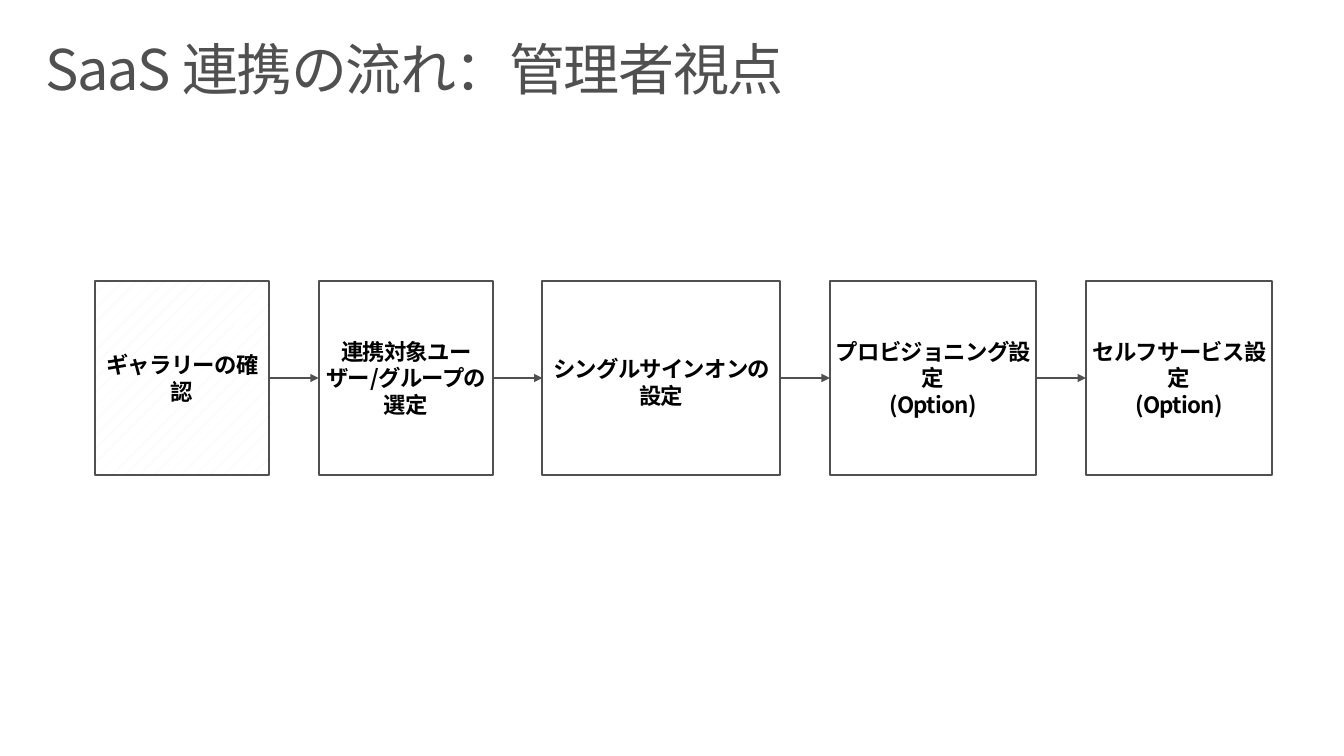
from lxml import etree
from pptx import Presentation
from pptx.dml.color import RGBColor
from pptx.enum.dml import MSO_PATTERN
from pptx.enum.shapes import MSO_CONNECTOR, MSO_SHAPE
from pptx.enum.text import MSO_ANCHOR, PP_ALIGN
from pptx.oxml.ns import qn
from pptx.util import Inches, Pt

SLIDE_WIDTH, SLIDE_HEIGHT = 13.33, 7.5
FONT = "Noto Sans CJK JP"
GRAY, BLACK, WHITE, PALE = "505050", "000000", "FFFFFF", "F2F2F2"

FLOW_LEFT, STEP_GAP, STEP_HEIGHT = 0.94, 0.49, 1.92
STEP_TOP = (SLIDE_HEIGHT - STEP_HEIGHT) / 2
STEP_INSET = 0.04

# Text, width, top inset, patterned fill
STEPS = [
    ("ギャラリーの確認", 1.73, STEP_INSET, True),
    ("連携対象ユーザー/グループの選定", 1.73, STEP_INSET, False),
    ("シングルサインオンの設定", 2.36, 0.12, False),
    ("プロビジョニング設定\n(Option)", 2.05, STEP_INSET, False),
    ("セルフサービス設定\n(Option)", 1.85, STEP_INSET, False),
]


def color(hex_value):
    return RGBColor.from_string(hex_value)


def write(frame, text, *, size, ink, bold=False, tracking=0, align=PP_ALIGN.LEFT,
          anchor=MSO_ANCHOR.TOP, insets=(0, 0, 0, 0), line_spacing=None):
    """Fill a text frame, one paragraph per line; insets run left, top, right, bottom."""
    frame.word_wrap = True
    frame.vertical_anchor = anchor
    (frame.margin_left, frame.margin_top,
     frame.margin_right, frame.margin_bottom) = map(Inches, insets)
    for index, line in enumerate(text.split("\n")):
        paragraph = frame.add_paragraph() if index else frame.paragraphs[0]
        paragraph.alignment = align
        paragraph.line_spacing = line_spacing
        run = paragraph.add_run()
        run.text = line
        font = run.font
        font.name, font.size, font.bold = FONT, Pt(size), bold
        font.color.rgb = color(ink)
        properties = run._r.get_or_add_rPr()
        properties.set("spc", str(round(tracking * 100)))
        etree.SubElement(properties, qn("a:ea"), typeface=FONT)


def add_title(slide, text):
    box = slide.shapes.add_textbox(*map(Inches, (0.29, 0.32, 12.75, 0.98)))
    write(box.text_frame, text, size=40, ink=GRAY, tracking=-1,
          insets=(0.16, 0.1, 0.16, 0.1), line_spacing=0.9)


def add_step(slide, text, left, width, top_inset, patterned):
    step = slide.shapes.add_shape(
        MSO_SHAPE.RECTANGLE, *map(Inches, (left, STEP_TOP, width, STEP_HEIGHT)))
    step.shadow.inherit = False
    if patterned:
        step.fill.patterned()
        step.fill.pattern = MSO_PATTERN.PERCENT_5
        step.fill.fore_color.rgb = color(PALE)
        step.fill.back_color.rgb = color(WHITE)
    else:
        step.fill.solid()
        step.fill.fore_color.rgb = color(WHITE)
    step.line.color.rgb = color(GRAY)
    step.line.width = Pt(1.5)
    write(step.text_frame, text, size=16, ink=BLACK, bold=True, tracking=-0.5,
          align=PP_ALIGN.CENTER, anchor=MSO_ANCHOR.MIDDLE,
          insets=(STEP_INSET, top_inset, STEP_INSET, STEP_INSET))


def add_arrow(slide, start, end):
    middle = SLIDE_HEIGHT / 2
    arrow = slide.shapes.add_connector(
        MSO_CONNECTOR.STRAIGHT, *map(Inches, (start, middle, end, middle)))
    arrow.line.color.rgb = color(GRAY)
    arrow.line.width = Pt(0.75)
    etree.SubElement(arrow.line._get_or_add_ln(), qn("a:tailEnd"), type="triangle")
    etree.SubElement(arrow._element.spPr, qn("a:effectLst"))


def main():
    deck = Presentation()
    deck.slide_width, deck.slide_height = Inches(SLIDE_WIDTH), Inches(SLIDE_HEIGHT)
    slide = deck.slides.add_slide(deck.slide_layouts[6])
    add_title(slide, "SaaS 連携の流れ：管理者視点")

    left = FLOW_LEFT
    for index, (text, width, top_inset, patterned) in enumerate(STEPS):
        if index:
            add_arrow(slide, left - STEP_GAP, left)
        add_step(slide, text, left, width, top_inset, patterned)
        left += width + STEP_GAP
    deck.save("out.pptx")


if __name__ == "__main__":
    main()
